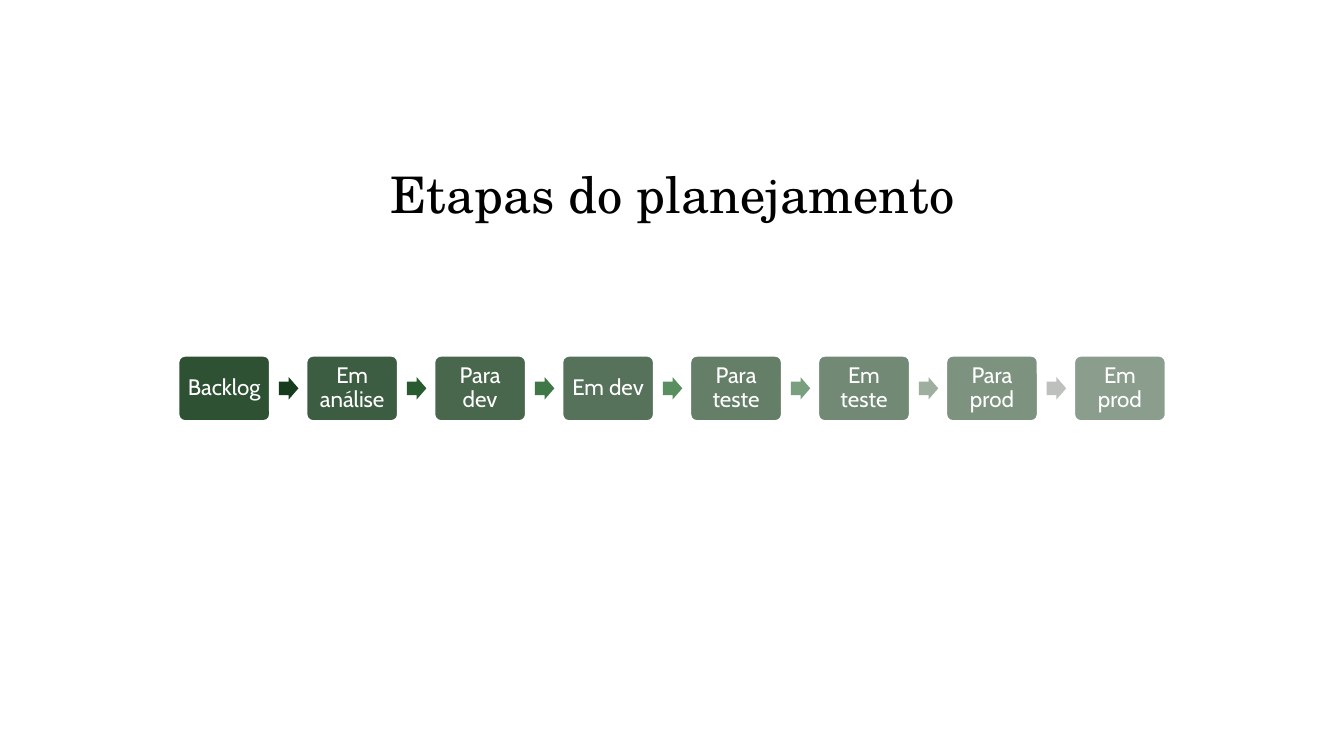
import pptx
import pptx.util
import pptx.dml.color
import pptx.enum.shapes
import pptx.enum.text
import pptx.oxml.ns
from lxml import etree

Pt = pptx.util.Pt
RGB = pptx.dml.color.RGBColor.from_string
MSO_SHAPE = pptx.enum.shapes.MSO_SHAPE
ANCHOR = pptx.enum.text.MSO_ANCHOR
CENTER = pptx.enum.text.PP_ALIGN.CENTER

COLORS = {"stage": "183F1E", "white": "FFFFFF", "title": "000000"}
ARROW_COLORS = ["173C1D", "295B31", "3F7747", "598F60", "7A9F7F", "9EAE9F", "BDC0BD"]
STAGES = ["Backlog", "Em análise", "Para dev", "Em dev",
          "Para teste", "Em teste", "Para prod", "Em prod"]

LEFT, PITCH, MIDDLE = 127.4, 91.4, 277.4
BOX_W, BOX_H = 65.5, 46.8
ARROW_W, ARROW_H, ARROW_DX = 13.9, 16, 71.9


def write(sp, text, font, size, color, anchor):
    tf = sp.text_frame
    tf.word_wrap = True
    tf.vertical_anchor = anchor
    p = tf.paragraphs[0]
    p.text = text
    p.alignment = CENTER
    p.line_spacing = 0.9
    p.font.name = font
    p.font.size = Pt(size)
    p.font.color.rgb = RGB(color)
    return tf


def add_block(kind, x, w, h, color):
    sp = slide.shapes.add_shape(kind, Pt(x), Pt(MIDDLE - h / 2), Pt(w), Pt(h))
    sp.shadow.inherit = False
    sp.fill.solid()
    sp.fill.fore_color.rgb = RGB(color)
    return sp


prs = pptx.Presentation()
prs.slide_width = Pt(960)
prs.slide_height = Pt(540)
slide = prs.slides.add_slide(prs.slide_layouts[6])

title = slide.shapes.add_textbox(Pt(127.4), Pt(78.5), Pt(705.6), Pt(85))
write(title, "Etapas do planejamento", "TeX Gyre Schola", 36, COLORS["title"], ANCHOR.BOTTOM)

for i, stage in enumerate(STAGES):
    x = LEFT + i * PITCH
    box = add_block(MSO_SHAPE.ROUNDED_RECTANGLE, x, BOX_W, BOX_H, COLORS["stage"])
    box.adjustments[0] = 0.1
    box.line.color.rgb = RGB(COLORS["white"])
    box.line.width = Pt(1.5)
    opacity = 90 - 40 * i / (len(STAGES) - 1)
    fill = box.fill._xPr.find(pptx.oxml.ns.qn("a:solidFill"))
    etree.SubElement(fill[0], pptx.oxml.ns.qn("a:alpha"), val=str(round(opacity * 1000)))
    tf = write(box, stage, "Cabin", 16, COLORS["white"], ANCHOR.MIDDLE)
    tf.margin_left = tf.margin_right = tf.margin_top = tf.margin_bottom = Pt(5)

    if i < len(ARROW_COLORS):
        arrow = add_block(MSO_SHAPE.RIGHT_ARROW, x + ARROW_DX, ARROW_W, ARROW_H, ARROW_COLORS[i])
        arrow.adjustments[0] = 0.6
        arrow.adjustments[1] = 0.5
        arrow.line.fill.background()

prs.save("out.pptx")
